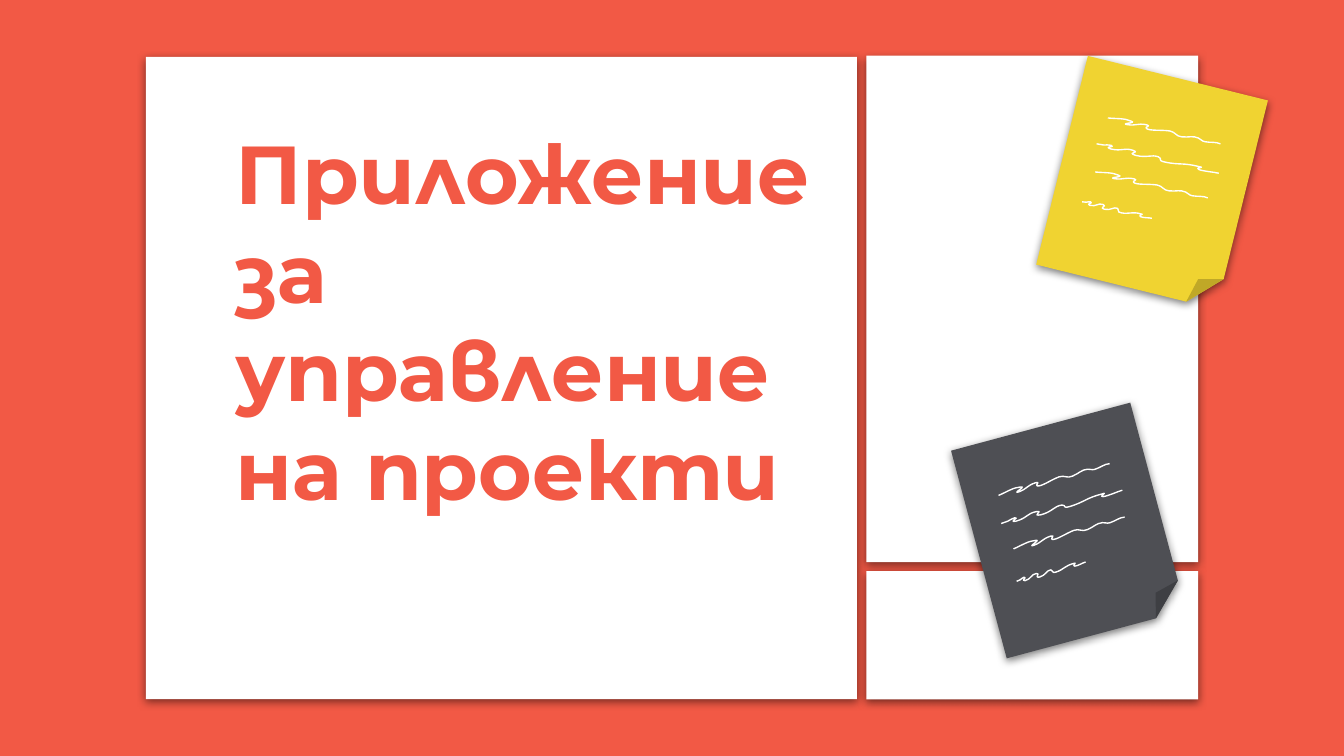
from dataclasses import dataclass

from lxml.etree import SubElement
from pptx import Presentation
from pptx.dml.color import RGBColor
from pptx.enum.lang import MSO_LANGUAGE_ID
from pptx.enum.shapes import MSO_SHAPE
from pptx.enum.text import MSO_ANCHOR
from pptx.oxml.ns import qn
from pptx.util import Inches, Pt


@dataclass(frozen=True)
class Theme:
    accent: str = "F25945"
    paper: str = "FFFFFF"
    dark_note: str = "4E4F54"
    yellow_note: str = "F0D331"
    shadow: str = "000000"
    font: str = "Montserrat"
    title_size: float = 44
    ink_width: float = 0.75


THEME = Theme()
WIDTH, HEIGHT = Inches(10), Inches(5.625)
INK_UNIT = WIDTH / 10000

# Panels and notes: left, top, width, height in percent of the slide
PANELS = [
    (10.86, 7.52, 52.9, 84.98),
    (64.46, 7.36, 24.7, 67.02),
    (64.46, 75.56, 24.7, 16.95),
]
TITLE_AREA = (16.54, 21.08, 48.5, 49.07)
NOTES = [
    ((72.6, 55.96, 13.8, 28.44), 345, THEME.dark_note),
    ((78.82, 9.92, 13.8, 28.44), 13.9, THEME.yellow_note),
]

# Handwriting as Bezier points after the start, three to a curve, in ink units
LOOSE_STROKE = [
    (63, -8), (123, -30), (177, -18), (221, -14), (99, 16), (151, 14),
    (223, 7), (221, -16), (291, -20), (335, -20), (278, -1), (297, 7),
    (325, 20), (405, -10), (471, -17), (514, -20), (525, 12), (569, 4),
    (621, -3), (646, -25), (690, -17), (717, -14), (712, -1), (745, -2),
    (789, -5), (823, -22), (860, -14),
]
TIGHT_STROKE = [
    (31, 0), (31, 0), (52, -4), (73, -9), (89, -15), (108, -15),
    (150, -9), (52, 5), (109, 12), (197, 12), (203, -23), (274, -18),
    (340, -11), (222, 8), (305, 14), (393, 13), (414, -23), (471, -16),
    (512, -6), (460, 11), (528, 10), (640, 6), (661, -20), (780, -18),
    (837, -23), (745, -3), (784, 3), (827, 8), (897, -6), (935, -6),
]
# Start within the note, stroke, horizontal stretch
NOTE_LINES = [
    ((255, 413), LOOSE_STROKE, 1),
    ((220, 620), TIGHT_STROKE, 1),
    ((260, 826), LOOSE_STROKE, 1),
    ((220, 1065), TIGHT_STROKE, 0.57),
]


def color(value):
    return RGBColor.from_string(value)


def place(area):
    """Turn percentages of the slide into lengths."""
    return [round(share * size / 100)
            for share, size in zip(area, (WIDTH, HEIGHT) * 2)]


def apply_format(target, values):
    for name, value in values.items():
        setattr(target, name, value)


def add_shadow(shape):
    shape.shadow.inherit = False
    effects = shape._element.spPr.find(qn("a:effectLst"))
    shadow = SubElement(effects, qn("a:outerShdw"), blurRad=str(Pt(4.5)),
                        dist=str(Pt(1.5)), dir="5400000", algn="bl",
                        rotWithShape="0")
    tone = SubElement(shadow, qn("a:srgbClr"), val=THEME.shadow)
    SubElement(tone, qn("a:alpha"), val="50000")


def add_sheet(shapes, kind, area, fill):
    sheet = shapes.add_shape(kind, *place(area))
    sheet.fill.solid()
    sheet.fill.fore_color.rgb = color(fill)
    sheet.line.fill.background()
    add_shadow(sheet)
    return sheet


def bend(shape):
    """Join every three straight segments into one Bezier curve."""
    outline = next(shape._element.iter(qn("a:path")))
    segments = outline.findall(qn("a:lnTo"))
    for index in range(0, len(segments), 3):
        curve = SubElement(outline, qn("a:cubicBezTo"))
        for segment in segments[index:index + 3]:
            curve.append(segment[0])
            outline.remove(segment)


def add_scribble(shapes, origin, stroke, stretch):
    left, top = origin
    builder = shapes.build_freeform(round(left), round(top), scale=1.0)
    builder.add_line_segments(
        [(round(left + x * stretch * INK_UNIT), round(top + y * INK_UNIT))
         for x, y in stroke], close=False)
    scribble = builder.convert_to_shape()
    bend(scribble)
    scribble.shadow.inherit = False
    scribble.fill.background()
    scribble.line.color.rgb = color(THEME.paper)
    scribble.line.width = Pt(THEME.ink_width)


def add_note(page, area, angle, fill):
    note = page.shapes.add_group_shape()
    sheet = add_sheet(note.shapes, MSO_SHAPE.FOLDED_CORNER, area, fill)
    for (x, y), stroke, stretch in NOTE_LINES:
        origin = (sheet.left + x * INK_UNIT, sheet.top + y * INK_UNIT)
        add_scribble(note.shapes, origin, stroke, stretch)
    note.rotation = angle


def add_title(page, text):
    box = page.shapes.add_textbox(*place(TITLE_AREA))
    sides = ("left", "top", "right", "bottom")
    apply_format(box.text_frame, {
        "word_wrap": True, "vertical_anchor": MSO_ANCHOR.BOTTOM,
        **{f"margin_{side}": Inches(0.1) for side in sides}})
    span = box.text_frame.paragraphs[0].add_run()
    span.text = text
    apply_format(span.font, {
        "name": THEME.font, "size": Pt(THEME.title_size), "bold": True,
        "language_id": MSO_LANGUAGE_ID.BULGARIAN})
    span.font.color.rgb = color(THEME.accent)


def main():
    deck = Presentation()
    apply_format(deck, {"slide_width": WIDTH, "slide_height": HEIGHT})
    page = deck.slides.add_slide(deck.slide_layouts[6])
    page.background.fill.solid()
    page.background.fill.fore_color.rgb = color(THEME.accent)

    # White panels with the title on the largest
    for area in PANELS:
        add_sheet(page.shapes, MSO_SHAPE.RECTANGLE, area, THEME.paper)
    add_title(page, "Приложение за управление на проекти")

    # Tilted sticky notes
    for area, angle, fill in NOTES:
        add_note(page, area, angle, fill)

    deck.save("out.pptx")


if __name__ == "__main__":
    main()
